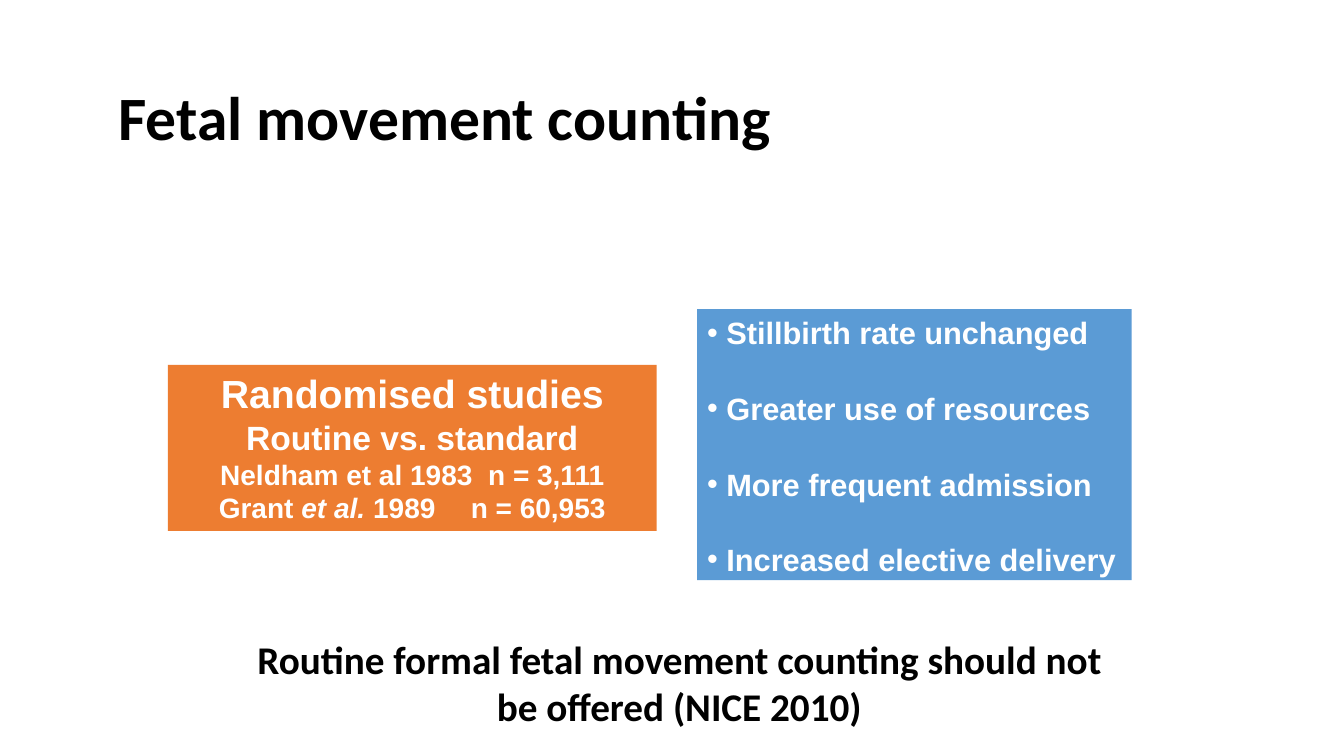
from pptx import Presentation
from pptx.dml.color import RGBColor
from pptx.enum.shapes import MSO_SHAPE
from pptx.enum.text import MSO_ANCHOR, PP_ALIGN
from pptx.oxml.ns import qn
from pptx.util import Pt
from lxml.etree import SubElement

COLORS = {"black": "000000", "white": "FFFFFF", "orange": "ED7D31", "blue": "5B9BD5"}


def add_text(tf, text, size, font="Arial", color="white", align=PP_ALIGN.LEFT,
             before=0, bullet=None, tab=None):
    """Add a bold paragraph; text is a string or a list of (text, italic) runs."""
    p = tf.paragraphs[0]
    if p.runs:
        p = tf.add_paragraph()
        p.space_before = Pt(before)
    p.alignment = align
    pPr = p._p.get_or_add_pPr()
    if bullet:
        pPr.set("marL", str(Pt(bullet)))
        pPr.set("indent", str(-Pt(bullet)))
        SubElement(pPr, qn("a:buFont"), typeface="Arial")
        SubElement(pPr, qn("a:buChar"), char="•")
    if tab:
        tabs = SubElement(pPr, qn("a:tabLst"))
        SubElement(tabs, qn("a:tab"), pos=str(Pt(tab)), algn="l")
    for words, italic in [(text, False)] if isinstance(text, str) else text:
        r = p.add_run()
        r.text = words
        r.font.name, r.font.size = font, Pt(size)
        r.font.bold, r.font.italic = True, italic
        r.font.color.rgb = RGBColor.from_string(COLORS[color])


def add_box(s, box, fill=None, anchor=MSO_ANCHOR.TOP, wrap=True):
    """Add a text box or a filled panel and return its text frame."""
    box = [Pt(v) for v in box]
    if fill:
        sp = s.shapes.add_shape(MSO_SHAPE.RECTANGLE, *box)
        sp.shadow.inherit = False
        sp.fill.solid()
        sp.fill.fore_color.rgb = RGBColor.from_string(COLORS[fill])
        sp.line.fill.background()
    else:
        sp = s.shapes.add_textbox(*box)
    tf = sp.text_frame
    tf.word_wrap = wrap
    tf.vertical_anchor = anchor
    return tf


def add_title(s, box):
    """Add the slide title."""
    tf = add_box(s, box, anchor=MSO_ANCHOR.MIDDLE)
    add_text(tf, "Fetal movement counting", 44, font="Calibri", color="black")


def add_studies(s, box):
    """Add the panel that names the randomised studies."""
    tf = add_box(s, box, fill="orange")
    for text, size, tab in (
        ("Randomised studies", 28, None),
        ("Routine vs. standard", 24, None),
        ("Neldham et al 1983\tn = 3,111", 20, 191.4),
        ([("Grant ", False), ("et al. ", True), ("1989\tn = 60,953", False)], 20, 180),
    ):
        add_text(tf, text, size, align=PP_ALIGN.CENTER, tab=tab)


def add_findings(s, box):
    """Add the panel with the bulleted findings."""
    tf = add_box(s, box, fill="blue", wrap=False)
    for text in ("Stillbirth rate unchanged", "Greater use of resources",
                 "More frequent admission", "Increased elective delivery"):
        add_text(tf, text, 22, before=27.6, bullet=13.8)


def add_conclusion(s, box):
    """Add the closing recommendation."""
    tf = add_box(s, box)
    add_text(tf, "Routine formal fetal movement counting should not be offered (NICE 2010)",
             28, font="Calibri", color="black", align=PP_ALIGN.CENTER)


def main():
    """Build the slide and save it."""
    prs = Presentation()
    prs.slide_width, prs.slide_height = Pt(960), Pt(540)
    s = prs.slides.add_slide(prs.slide_layouts[6])
    add_title(s, (77.5, 31, 816.5, 104))
    add_studies(s, (120, 260.6, 349, 118.6))
    add_findings(s, (498, 220.8, 310.4, 193.6))
    add_conclusion(s, (162, 450, 646.4, 75))
    prs.save("out.pptx")


if __name__ == "__main__":
    main()
